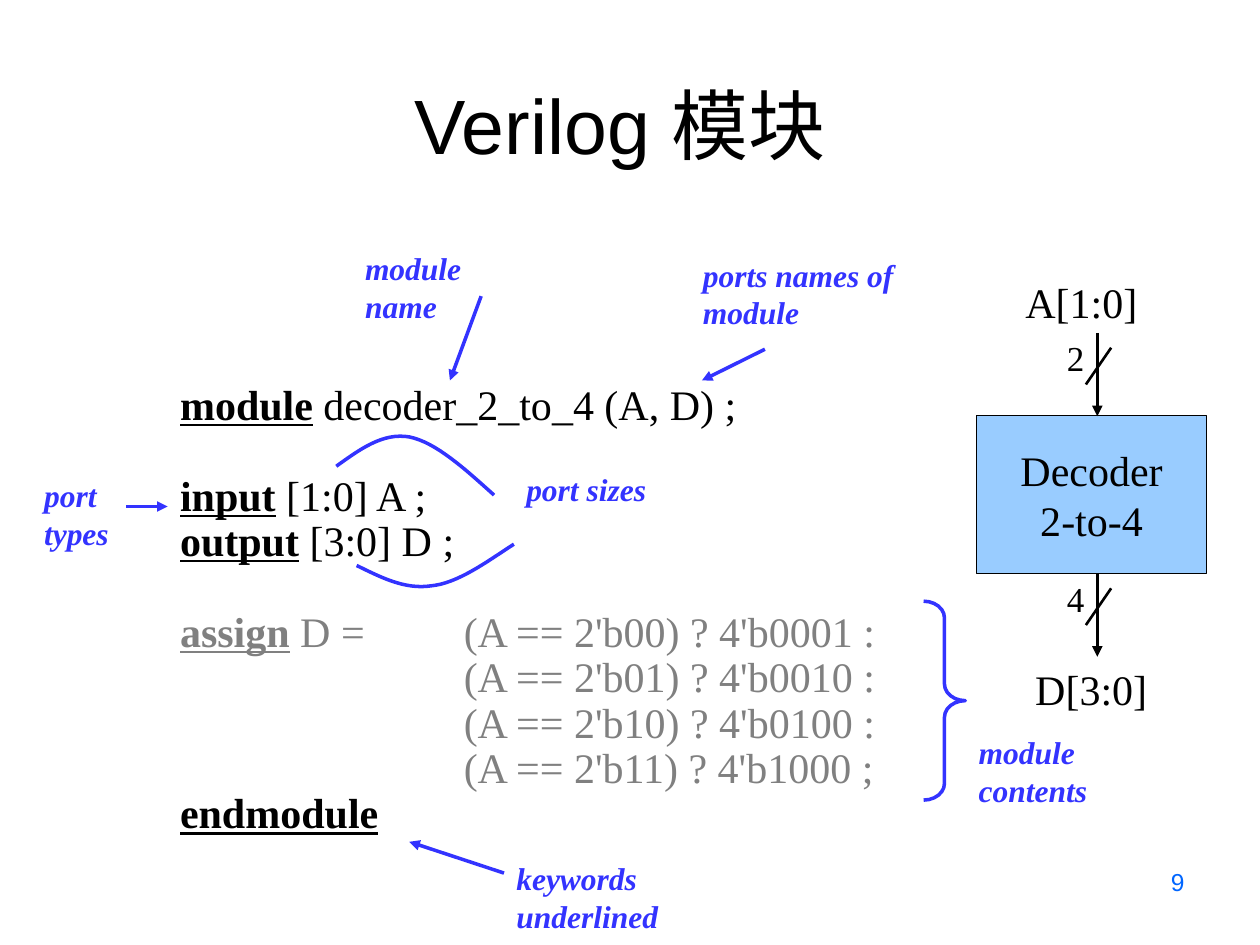
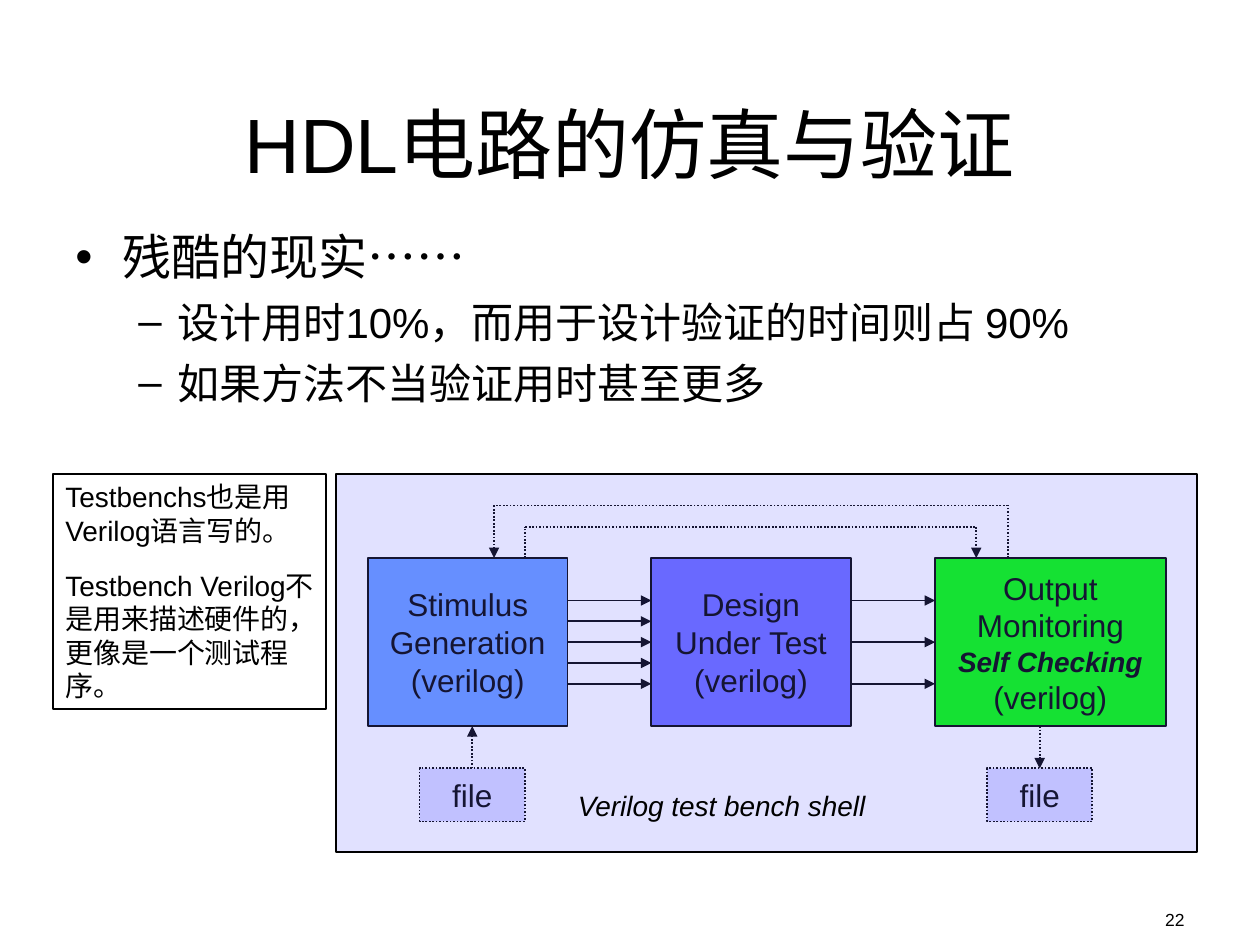
from dataclasses import dataclass, replace
from typing import NamedTuple, Optional

import pptx
import pptx.dml.color
import pptx.enum.dml
import pptx.enum.shapes
import pptx.enum.text
import pptx.oxml.ns
import pptx.util
from lxml import etree
from pptx.util import Cm, Pt

ALIGN = pptx.enum.text.PP_ALIGN
ANCHOR = pptx.enum.text.MSO_ANCHOR
SHAPE = pptx.enum.shapes.MSO_SHAPE
qn = pptx.oxml.ns.qn


@dataclass(frozen=True)
class Style:
    size: int
    font: str = "Arial"
    color: str = "000000"
    bold: bool = False
    italic: bool = False
    underline: bool = False


@dataclass(frozen=True)
class Theme:
    black: str = "000000"
    note_blue: str = "3333FF"
    decoder: str = "99CCFF"
    stimulus: str = "6699FF"
    design: str = "6969FF"
    output: str = "00FF00"
    title: Style = Style(44)
    bullet: Style = Style(28)
    sub_bullet: Style = Style(24)
    block: Style = Style(18)
    small: Style = Style(16)
    code: Style = Style(24, "Times New Roman")
    bits: Style = Style(20, "Times New Roman")
    callout: Style = Style(18, "Times New Roman", "3333FF", bold=True, italic=True)
    first_number: Style = Style(14, color="0066FF")
    second_number: Style = Style(10)


THEME = Theme()
KEYWORD = replace(THEME.code, bold=True, underline=True)
FADED = replace(THEME.code, color="808080")
FADED_KEYWORD = replace(KEYWORD, color="808080")


class Box(NamedTuple):
    """Left, top, width and height in centimetres."""
    left: float
    top: float
    width: float
    height: float

    def lengths(self) -> list:
        return [Cm(value) for value in self]


class Point(NamedTuple):
    x: float
    y: float


class Run(NamedTuple):
    text: str
    style: Style


class Bullet(NamedTuple):
    mark: str
    margin: float
    hanging: float


@dataclass(frozen=True)
class Line:
    runs: tuple
    align: ALIGN = ALIGN.LEFT
    space_before: float = 0
    spacing: Optional[float] = None
    tab: Optional[float] = None
    bullet: Optional[Bullet] = None


class Pen(NamedTuple):
    color: str = THEME.black
    width: float = 1
    dotted: bool = False


THIN = Pen()
DOTTED = Pen(dotted=True)
NOTE_PEN = Pen(THEME.note_blue, 2)


class Callout(NamedTuple):
    text: str
    box: Box
    wrap: bool = True
    arrow: tuple = ()


class Port(NamedTuple):
    name: str
    label: Point
    bits: str
    wire_top: float


class Block(NamedTuple):
    left: float
    width: float
    color: str
    runs: tuple


def rgb(color: str) -> pptx.dml.color.RGBColor:
    return pptx.dml.color.RGBColor.from_string(color)


def plain(text: str, style: Style, **options) -> Line:
    return Line((Run(text, style),), **options)


def write(frame, lines: list, wrap: bool = True, anchor=ANCHOR.TOP) -> None:
    frame.word_wrap = wrap
    frame.vertical_anchor = anchor
    for index, line in enumerate(lines):
        paragraph = frame.add_paragraph() if index else frame.paragraphs[0]
        paragraph.alignment = line.align
        if line.spacing:
            paragraph.line_spacing = line.spacing
        if line.space_before:
            paragraph.space_before = Pt(line.space_before)
        properties = paragraph._p.get_or_add_pPr()
        if line.bullet:
            properties.set("marL", str(Cm(line.bullet.margin)))
            properties.set("indent", str(-Cm(line.bullet.hanging)))
            etree.SubElement(properties, qn("a:buFont"), typeface="Arial")
            etree.SubElement(properties, qn("a:buChar"), char=line.bullet.mark)
        if line.tab:
            tabs = etree.SubElement(properties, qn("a:tabLst"))
            etree.SubElement(tabs, qn("a:tab"), pos=str(Cm(line.tab)), algn="l")
        for text, style in line.runs:
            run = paragraph.add_run()
            run.text = text
            run.font.size, run.font.name = Pt(style.size), style.font
            run.font.color.rgb = rgb(style.color)
            run.font.bold, run.font.italic = style.bold, style.italic
            run.font.underline = style.underline


def add_text(slide, box: Box, lines: list, wrap: bool = True, anchor=ANCHOR.TOP) -> None:
    write(slide.shapes.add_textbox(*box.lengths()).text_frame, lines, wrap, anchor)


def apply_pen(line, pen: Pen) -> None:
    line.color.rgb = rgb(pen.color)
    line.width = Pt(pen.width)
    if pen.dotted:
        line.dash_style = pptx.enum.dml.MSO_LINE.ROUND_DOT


def outline(shape, pen: Pen) -> None:
    shape.shadow.inherit = False
    shape.fill.background()
    apply_pen(shape.line, pen)


def add_rectangle(slide, box: Box, color: Optional[str], pen: Pen = THIN,
                  opacity: int = 100):
    shape = slide.shapes.add_shape(SHAPE.RECTANGLE, *box.lengths())
    outline(shape, pen)
    if color:
        shape.fill.solid()
        shape.fill.fore_color.rgb = rgb(color)
        if opacity < 100:
            fill = shape._element.spPr.find(qn("a:solidFill"))
            etree.SubElement(fill[0], qn("a:alpha"), val=str(opacity * 1000))
    return shape


def add_wire(slide, start: Point, end: Point, pen: Pen, arrow: bool = True):
    connector = slide.shapes.add_connector(
        pptx.enum.shapes.MSO_CONNECTOR.STRAIGHT,
        *(Cm(value) for value in (*start, *end)))
    apply_pen(connector.line, pen)
    properties = connector._element.spPr
    if arrow:
        etree.SubElement(properties.find(qn("a:ln")), qn("a:tailEnd"), type="triangle")
    etree.SubElement(properties, qn("a:effectLst"))
    return connector


def add_curve(slide, points: list, pen: Pen, steps: int = 16) -> None:
    """Draw joined cubic curves; every third point lies on the curve."""
    trace = []
    for first in range(0, len(points) - 1, 3):
        a, b, c, d = points[first:first + 4]
        for step in range(1, steps + 1):
            t = step / steps
            u = 1 - t
            trace.append(tuple(
                Cm(u**3 * a[k] + 3 * u * u * t * b[k] + 3 * u * t * t * c[k] + t**3 * d[k])
                for k in (0, 1)))
    builder = slide.shapes.build_freeform(Cm(points[0][0]), Cm(points[0][1]))
    builder.add_line_segments(trace, close=False)
    outline(builder.convert_to_shape(), pen)


def add_frame(presentation, title: str, title_corner: Point,
              number: str, number_style: Style, number_top: float):
    """Add a slide with its title and page number."""
    slide = presentation.slides.add_slide(presentation.slide_layouts[6])
    add_text(slide, Box(*title_corner, 22.86, 3.18),
             [plain(title, THEME.title, align=ALIGN.CENTER)], anchor=ANCHOR.BOTTOM)
    add_text(slide, Box(18.21, number_top, 5.92, 0.64),
             [plain(number, number_style, align=ALIGN.RIGHT)])
    return slide


def build_module_slide(presentation) -> None:
    slide = add_frame(presentation, "Verilog 模块", Point(1.07, 0.38),
                      "9", THEME.first_number, 17.35)
    code = [
        ((Run("module", KEYWORD), Run(" decoder_2_to_4 (A, D) ;", THEME.code)), 0),
        ((Run("input", KEYWORD), Run(" [1:0] A ;", THEME.code)), 26),
        ((Run("output", KEYWORD), Run(" [3:0] D ;", THEME.code)), 0),
        ((Run("assign", FADED_KEYWORD),
          Run(" D =\t(A == 2'b00) ? 4'b0001 :", FADED)), 26),
        ((Run("\t(A == 2'b01) ? 4'b0010 :", FADED),), 0),
        ((Run("\t(A == 2'b10) ? 4'b0100 :", FADED),), 0),
        ((Run("\t(A == 2'b11) ? 4'b1000 ;", FADED),), 0),
        ((Run("endmodule", KEYWORD),), 0),
    ]
    add_text(slide, Box(3.38, 7.62, 20.96, 9.4),
             [Line(runs, space_before=gap, spacing=0.9, tab=5.72) for runs, gap in code])

    decoder = add_rectangle(slide, Box(19.68, 8.38, 4.65, 3.18), THEME.decoder,
                            Pen(width=0.75))
    write(decoder.text_frame,
          [plain(text, THEME.code, align=ALIGN.CENTER) for text in ("Decoder", "2-to-4")],
          wrap=False, anchor=ANCHOR.MIDDLE)
    for port in (Port("A[1:0]", Point(20.42, 5.44), "2", 6.71),
                 Port("D[3:0]", Point(20.62, 13.26), "4", 11.56)):
        top = port.wire_top
        add_text(slide, Box(*port.label, 2.77, 1.27), [plain(port.name, THEME.code)], False)
        add_text(slide, Box(21.26, top - 0.05, 0.86, 1.12),
                 [plain(port.bits, THEME.bits)], False)
        add_wire(slide, Point(22.12, top), Point(22.12, top + 1.68), Pen(width=2))
        add_wire(slide, Point(22.4, top + 0.3), Point(21.89, top + 1.04),
                 Pen(width=1.5), arrow=False)

    callouts = [
        Callout("ports names of module", Box(13.92, 5.03, 5.33, 1.78),
                arrow=(Point(15.42, 7.04), Point(14.15, 7.67))),
        Callout("module name", Box(7.11, 4.9, 4.04, 1.02), False,
                (Point(9.7, 5.97), Point(9.07, 7.67))),
        Callout("port types", Box(0.64, 9.47, 2.8, 1.78),
                arrow=(Point(2.54, 10.21), Point(3.38, 10.21))),
        Callout("port sizes", Box(10.36, 9.35, 2.97, 1.02), False),
        Callout("module contents", Box(19.48, 14.66, 3.81, 1.78)),
        Callout("keywords underlined", Box(10.16, 17.2, 5.94, 1.02), False,
                (Point(10.16, 17.6), Point(8.25, 16.97))),
    ]
    for callout in callouts:
        add_text(slide, callout.box, [plain(callout.text, THEME.callout)], callout.wrap)
        if callout.arrow:
            add_wire(slide, *callout.arrow, NOTE_PEN)
    add_curve(slide, [(9.96, 9.98), (9.37, 9.45), (8.79, 8.92), (8.26, 8.81),
                      (7.72, 8.71), (7.24, 9.07), (6.78, 9.4)], NOTE_PEN)
    add_curve(slide, [(10.36, 10.97), (9.78, 11.35), (9.22, 11.76), (8.69, 11.81),
                      (8.15, 11.89), (7.67, 11.63), (7.19, 11.4)], NOTE_PEN)
    brace = slide.shapes.add_shape(SHAPE.RIGHT_BRACE, *Box(18.62, 12.12, 0.84, 4.01).lengths())
    brace.adjustments[0] = 0.4
    outline(brace, NOTE_PEN)


def build_testbench_slide(presentation) -> None:
    slide = add_frame(presentation, "HDL电路的仿真与验证", Point(1.27, 0.76),
                      "22", THEME.second_number, 18.21)
    dash = Bullet("–", 2.06, 0.79)
    add_text(slide, Box(1.27, 4.45, 22.86, 5.28), [
        plain("残酷的现实……", THEME.bullet, bullet=Bullet("•", 0.95, 0.95)),
        plain("设计用时10%，而用于设计验证的时间则占 90%", THEME.sub_bullet,
              space_before=6, bullet=dash),
        plain("如果方法不当验证用时甚至更多", THEME.sub_bullet, space_before=6, bullet=dash),
    ])

    top, height = 11.25, 3.39
    middle, bottom = top + height / 2, top + height
    checking = replace(THEME.small, bold=True, italic=True)
    language = Run("(verilog)", THEME.block)
    blocks = [
        Block(7.42, 4.02, THEME.stimulus,
              (Run("Stimulus", THEME.block), Run("Generation", THEME.block), language)),
        Block(13.13, 4.02, THEME.design,
              (Run("Design", THEME.block), Run("Under Test", THEME.block), language)),
        Block(18.85, 4.65, THEME.output,
              (Run("Output", THEME.block), Run("Monitoring", THEME.block),
               Run("Self Checking", checking), language)),
    ]
    shapes = []
    for block in blocks:
        shape = add_rectangle(slide, Box(block.left, top, block.width, height), block.color)
        write(shape.text_frame, [Line((run,), ALIGN.CENTER) for run in block.runs],
              wrap=False, anchor=ANCHOR.MIDDLE)
        shapes.append(shape)

    for index, steps in enumerate(((-2, -1, 0, 1, 2), (-2, 0, 2))):
        source, target = blocks[index:index + 2]
        for step in steps:
            y = middle + step * 0.42
            wire = add_wire(slide, Point(source.left + source.width, y),
                            Point(target.left, y), THIN)
            if step == 0:
                wire.begin_connect(shapes[index], 3)
                wire.end_connect(shapes[index + 1], 1)

    for start, level, end in ((10.59, 10.62, 19.68), (20.32, 10.19, 9.96)):
        corners = [Point(start, top), Point(start, level), Point(end, level), Point(end, top)]
        for index in range(3):
            add_wire(slide, *corners[index:index + 2], DOTTED, arrow=index == 2)

    for left, is_input in ((8.46, True), (19.9, False)):
        file = add_rectangle(slide, Box(left, 15.49, 2.12, 1.07), THEME.design, DOTTED, 26)
        write(file.text_frame, [plain("file", THEME.block, align=ALIGN.CENTER)],
              wrap=False, anchor=ANCHOR.MIDDLE)
        ends = [Point(left + 1.06, 15.49), Point(left + 1.06, bottom)]
        if is_input:
            add_wire(slide, *ends, DOTTED).begin_connect(file, 0)
        else:
            add_wire(slide, *reversed(ends), DOTTED).end_connect(file, 0)

    add_rectangle(slide, Box(6.78, 9.55, 17.35, 7.62), THEME.design, opacity=20)
    add_text(slide, Box(11.4, 15.77, 6.32, 0.94),
             [plain("Verilog test bench shell", replace(THEME.small, italic=True))], False)
    note = add_rectangle(slide, Box(1.07, 9.55, 5.51, 4.75), None)
    write(note.text_frame, [
        plain("Testbenchs也是用Verilog语言写的。", THEME.small),
        plain("Testbench Verilog不是用来描述硬件的，更像是一个测试程序。", THEME.small,
              space_before=12),
    ])


def main() -> None:
    presentation = pptx.Presentation()
    presentation.slide_width, presentation.slide_height = Cm(25.4), Cm(19.05)
    build_module_slide(presentation)
    build_testbench_slide(presentation)
    presentation.save("out.pptx")


if __name__ == "__main__":
    main()
